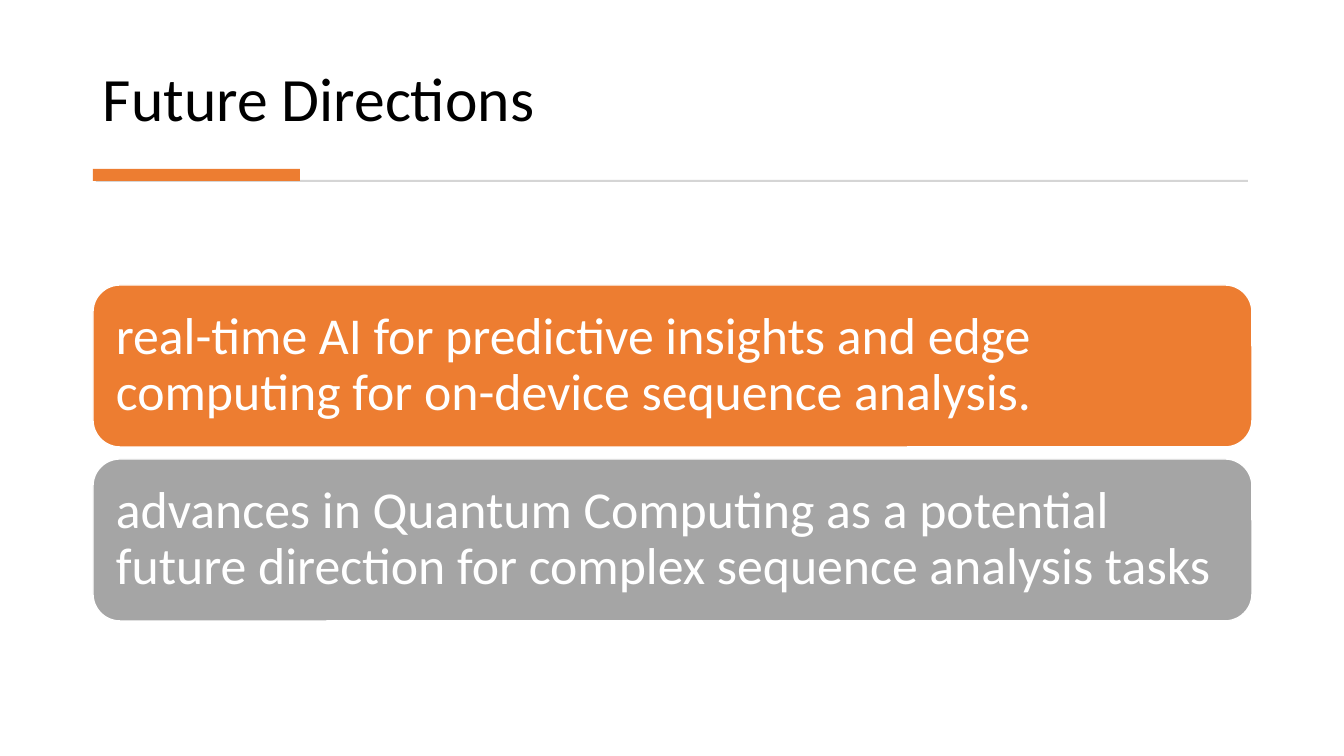
"""Build the Future Directions slide with a ruled title and two stacked cards."""
from pptx import Presentation
from pptx.dml.color import RGBColor
from pptx.enum.shapes import MSO_SHAPE
from pptx.enum.text import MSO_ANCHOR, MSO_AUTO_SIZE, PP_ALIGN
from pptx.util import Emu, Pt

COLORS = {
    "black": "000000",
    "white": "FFFFFF",
    "rule": "D5D5D5",
    "orange": "ED7D31",
    "gray": "A5A5A5",
}


def px(length):
    return Emu(round(length * 914400 / 100.8))


def write(shape, text, size, color, anchor, inset_x, inset_y):
    frame = shape.text_frame
    frame.word_wrap = True
    frame.auto_size = MSO_AUTO_SIZE.NONE
    frame.vertical_anchor = anchor
    frame.margin_left = frame.margin_right = px(inset_x)
    frame.margin_top = frame.margin_bottom = px(inset_y)
    para = frame.paragraphs[0]
    para.alignment = PP_ALIGN.LEFT
    para.line_spacing = 0.9
    span = para.add_run()
    span.text = text
    span.font.name = "Calibri"
    span.font.size = Pt(size)
    span.font.color.rgb = RGBColor.from_string(COLORS[color])


deck = Presentation()
deck.slide_width, deck.slide_height = px(1344), px(756)
page = deck.slides.add_slide(deck.slide_layouts[5])

title = page.shapes.title
title.left, title.top, title.width, title.height = px(93), px(28), px(1158), px(112)
write(title, "Future Directions", size=44, color="black",
      anchor=MSO_ANCHOR.BOTTOM, inset_x=10, inset_y=5)

bars = [
    ("rule", 96, 180, 1152, 2),
    ("orange", 93, 169, 207, 12),
]
for color, left, top, width, height in bars:
    bar = page.shapes.add_shape(MSO_SHAPE.RECTANGLE, px(left), px(top), px(width), px(height))
    bar.shadow.inherit = False
    bar.fill.solid()
    bar.fill.fore_color.rgb = RGBColor.from_string(COLORS[color])
    bar.line.fill.background()

cards = [
    ("orange", "real-time AI for predictive insights and edge computing "
               "for on-device sequence analysis."),
    ("gray", "advances in Quantum Computing as a potential future direction "
             "for complex sequence analysis tasks"),
]
card_top, card_height, card_gap = 285, 162, 12
for index, (color, text) in enumerate(cards):
    top = card_top + index * (card_height + card_gap)
    card = page.shapes.add_shape(MSO_SHAPE.ROUNDED_RECTANGLE,
                                 px(93), px(top), px(1159), px(card_height))
    card.shadow.inherit = False
    card.fill.solid()
    card.fill.fore_color.rgb = RGBColor.from_string(COLORS[color])
    card.line.color.rgb = RGBColor.from_string(COLORS["white"])
    card.line.width = Pt(1)
    write(card, text, size=37, color="white",
          anchor=MSO_ANCHOR.MIDDLE, inset_x=15, inset_y=15)

deck.save("out.pptx")
